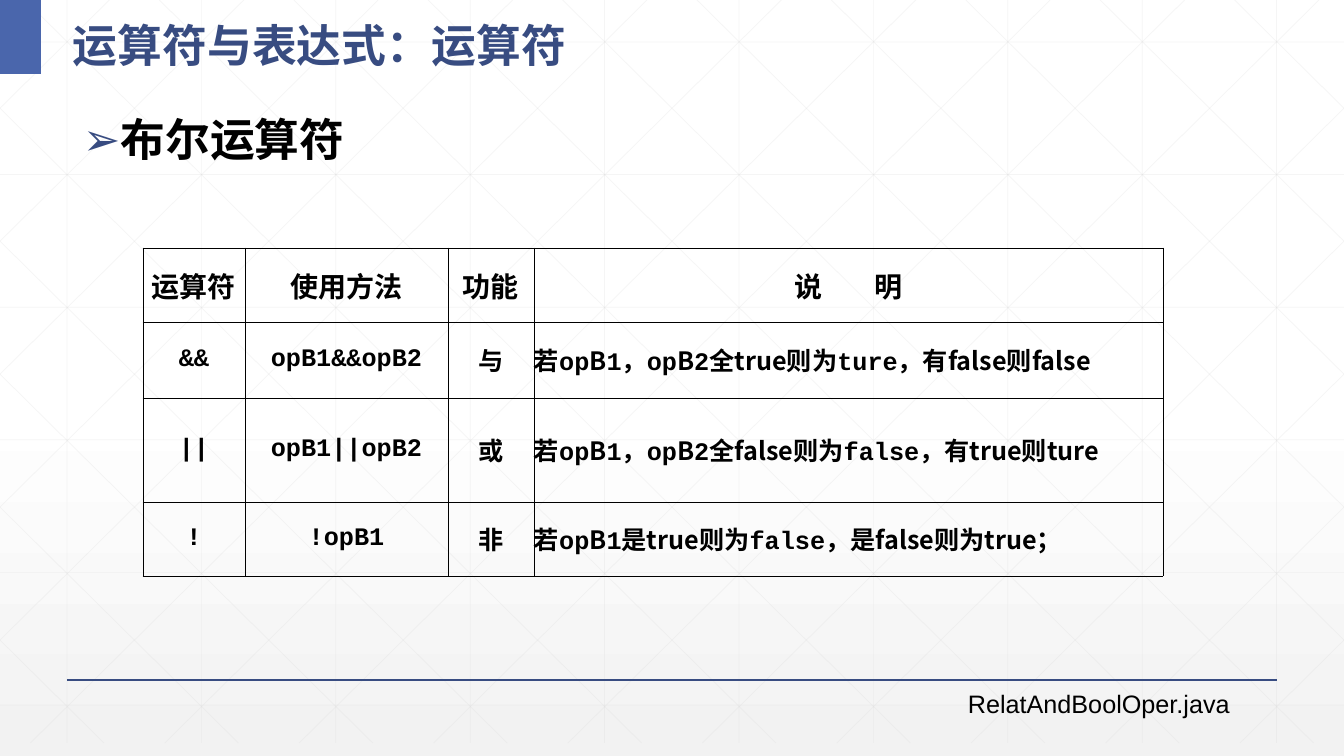
from dataclasses import dataclass

from lxml.etree import SubElement
from pptx import Presentation
from pptx.dml.color import RGBColor
from pptx.enum.shapes import MSO_CONNECTOR, MSO_SHAPE
from pptx.enum.text import MSO_ANCHOR, MSO_AUTO_SIZE, PP_ALIGN
from pptx.oxml.ns import qn
from pptx.util import Pt

TITLE = "运算符与表达式：运算符"
HEADING = "布尔运算符"
SOURCE_FILE = "RelatAndBoolOper.java"

# Each cell is a tuple of runs that alternate between the code and text fonts.
OPERATORS = [
    [("运算符",), ("使用方法",), ("功能",), ("", "说 ", "明")],
    [("&&",), ("opB1&&opB2",), ("与",),
     ("若op", "B", "1，op", "B", "2全", "true", "则为ture，有", "false", "则", "false")],
    [("||",), ("opB1||opB2",), ("或",),
     ("若op", "B", "1，op", "B", "2全", "false", "则为false，有", "true", "则", "ture")],
    [("!",), ("!opB1",), ("非",),
     ("若op", "B", "1是", "true", "则为false，是", "false", "则为", "true", "；")],
]
COLUMN_WIDTHS = [102, 203, 86, 629]
ROW_HEIGHTS = [74, 76, 104, 74]


@dataclass(frozen=True)
class Theme:
    navy: str = "384C81"
    blue: str = "4A66AC"
    ink: str = "000000"
    grid: str = "D9D9D9"
    white: str = "FFFFFF"
    shade: str = "F2F2F2"
    text_font: str = "Noto Sans CJK SC"
    code_font: str = "Courier New"
    plain_font: str = "Arial"
    heading_size: int = 32
    header_size: int = 20
    body_size: int = 18


THEME = Theme()
PX = 914400 / 100.8
WIDTH, HEIGHT = 1344, 756


def px(*lengths):
    return [round(length * PX) for length in lengths]


def set_alpha(parent, percent):
    color = next(parent.iter(qn("a:srgbClr")))
    SubElement(color, qn("a:alpha"), val=str(percent * 1000))


def style_run(run, font, size, color, bold=True):
    run.font.size = Pt(size)
    run.font.bold = bold
    run.font.color.rgb = RGBColor.from_string(color)
    run.font.name = font
    SubElement(run.font._element, qn("a:ea"), typeface=THEME.text_font)


def add_line(slide, start, end, color, weight, alpha=100):
    line = slide.shapes.add_connector(MSO_CONNECTOR.STRAIGHT, *px(*start, *end))
    line.line.color.rgb = RGBColor.from_string(color)
    line.line.width = Pt(weight)
    if alpha < 100:
        set_alpha(line.line._get_or_add_ln(), alpha)
    SubElement(line._element.spPr, qn("a:effectLst"))


def add_text(slide, box, text, font, size, color, bold=True):
    frame = slide.shapes.add_textbox(*px(*box)).text_frame
    frame.word_wrap = True
    frame.text = text
    style_run(frame.paragraphs[0].runs[0], font, size, color, bold)
    return frame


def paint_background(slide):
    fill = slide.background.fill
    fill.gradient()
    fill.gradient_angle = 270
    first, last = fill.gradient_stops
    first.position, last.position = 0.53, 1
    first.color.rgb = RGBColor.from_string(THEME.white)
    last.color.rgb = RGBColor.from_string(THEME.shade)
    set_alpha(last._gs, 65)


def draw_grid(slide):
    bottom, run, step, row_step = 743, 751, 134.4, 132.6
    segments = []
    for column in range(10):
        x = 67 + column * step
        segments.append(((x, 0), (x, bottom)))
    for row in range(6):
        y = 42 + row * row_step
        segments.append(((0, y), (WIDTH, y)))
    for diagonal in range(-5, 10):
        x = 25 + diagonal * step
        enter, leave = max(0, -x / run), min(1, (WIDTH - x) / run)
        ends = [(x + t * run, t * bottom) for t in (enter, leave)]
        segments.append(ends)
        segments.append([(WIDTH - end_x, end_y) for end_x, end_y in ends])
    for start, end in segments:
        add_line(slide, start, end, THEME.grid, 0.5, alpha=25)


def add_bullet(paragraph, symbol, color, indent):
    properties = paragraph._p.get_or_add_pPr()
    properties.set("marL", str(px(indent)[0]))
    properties.set("indent", str(px(-indent)[0]))
    bullet_color = SubElement(properties, qn("a:buClr"))
    SubElement(bullet_color, qn("a:srgbClr"), val=color)
    SubElement(properties, qn("a:buFont"), typeface=THEME.plain_font)
    SubElement(properties, qn("a:buChar"), char=symbol)


def outline_cell(cell):
    properties = cell._tc.get_or_add_tcPr()
    for side in ("lnL", "lnR", "lnT", "lnB"):
        border = SubElement(properties, qn(f"a:{side}"), w=str(Pt(0.5)))
        fill = SubElement(border, qn("a:solidFill"))
        SubElement(fill, qn("a:srgbClr"), val=THEME.ink)
    cell.fill.background()


def fill_cell(cell, runs, size, centred):
    cell.margin_left = cell.margin_right = cell.margin_top = cell.margin_bottom = 0
    cell.vertical_anchor = MSO_ANCHOR.MIDDLE
    paragraph = cell.text_frame.paragraphs[0]
    paragraph.alignment = PP_ALIGN.CENTER if centred else PP_ALIGN.LEFT
    for position, text in enumerate(runs):
        if text:
            run = paragraph.add_run()
            run.text = text
            font = THEME.text_font if position % 2 else THEME.code_font
            style_run(run, font, size, THEME.ink)
    outline_cell(cell)


def add_operator_table(slide):
    box = px(143, 248, sum(COLUMN_WIDTHS), sum(ROW_HEIGHTS))
    table = slide.shapes.add_table(len(ROW_HEIGHTS), len(COLUMN_WIDTHS), *box).table
    table.first_row = table.horz_banding = False
    for column, width in zip(table.columns, px(*COLUMN_WIDTHS)):
        column.width = width
    for row, height in zip(table.rows, px(*ROW_HEIGHTS)):
        row.height = height
    for r, operator in enumerate(OPERATORS):
        size = THEME.body_size if r else THEME.header_size
        for c, runs in enumerate(operator):
            fill_cell(table.cell(r, c), runs, size, r == 0 or c < 3)
    spread = table.cell(0, 3).text_frame.paragraphs[0].runs[0]
    spread.font._element.set("spc", "1600")


def main():
    presentation = Presentation()
    presentation.slide_width, presentation.slide_height = px(WIDTH, HEIGHT)
    slide = presentation.slides.add_slide(presentation.slide_layouts[6])
    paint_background(slide)
    draw_grid(slide)
    add_line(slide, (67, 680), (1277, 680), THEME.navy, 1)

    corner = slide.shapes.add_shape(MSO_SHAPE.RECTANGLE, *px(0, 0, 41, 74))
    corner.shadow.inherit = False
    corner.fill.solid()
    corner.fill.fore_color.rgb = RGBColor.from_string(THEME.blue)
    corner.line.fill.background()

    title = add_text(slide, (63, 0, 574, 74), TITLE, THEME.text_font,
                     THEME.heading_size, THEME.navy)
    title.vertical_anchor = MSO_ANCHOR.MIDDLE
    title.paragraphs[0].line_spacing = 1.3

    heading = add_text(slide, (73, 113, 1183, 556), HEADING, THEME.text_font,
                       THEME.heading_size, THEME.ink)
    add_bullet(heading.paragraphs[0], "➢", THEME.navy, 25)
    heading.paragraphs[0].line_spacing = 0.9

    add_operator_table(slide)
    source = add_text(slide, (958, 683, 302, 40), SOURCE_FILE, THEME.plain_font,
                      THEME.body_size, THEME.ink, bold=False)
    source.word_wrap = False
    source.auto_size = MSO_AUTO_SIZE.SHAPE_TO_FIT_TEXT
    presentation.save("out.pptx")


if __name__ == "__main__":
    main()
